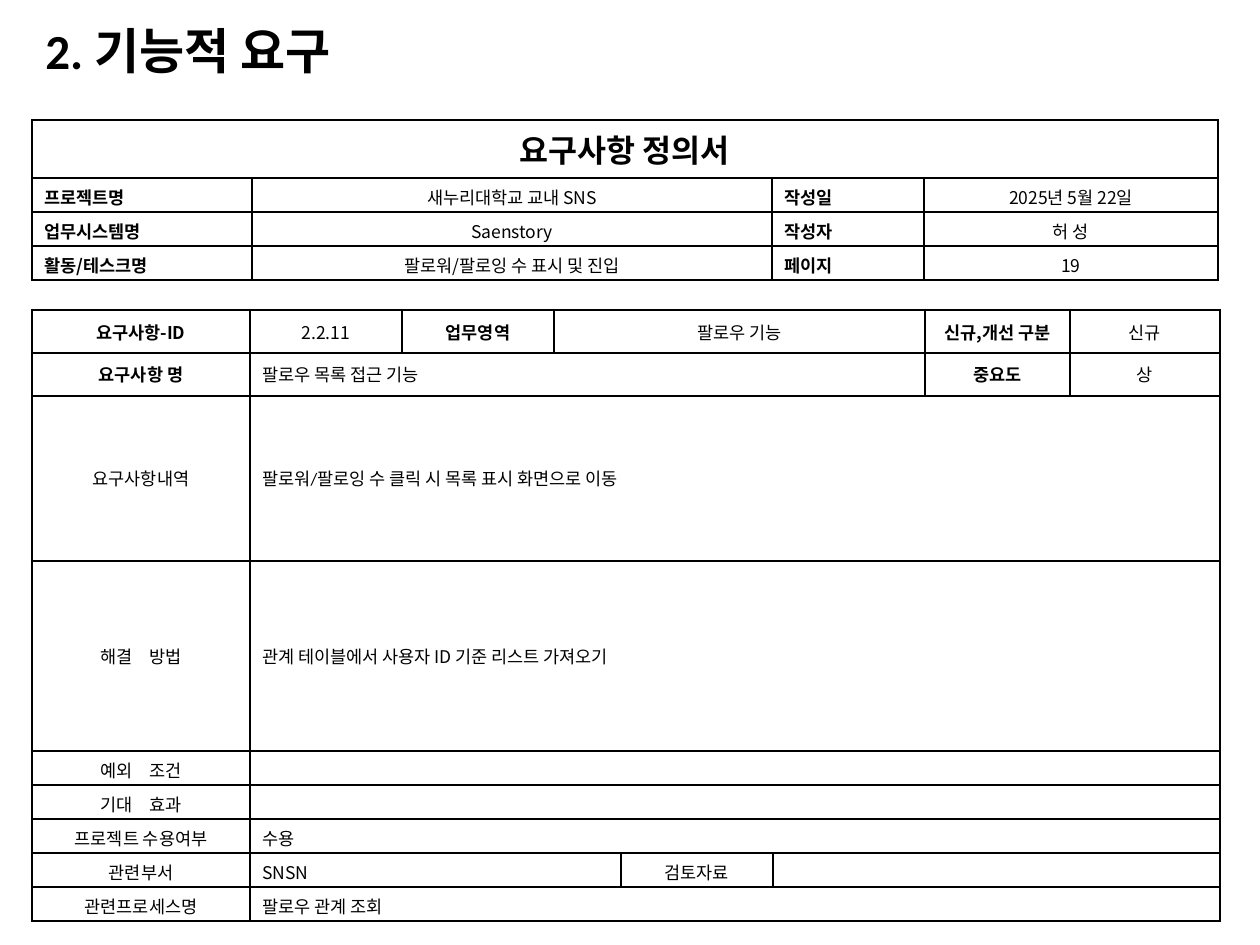
from dataclasses import dataclass

from lxml import etree
from pptx import Presentation, util as u
from pptx.dml.color import RGBColor
from pptx.enum import text
from pptx.oxml.ns import qn


@dataclass(frozen=True)
class Theme:
    ink: str = "000000"
    latin: str = "Calibri"
    korean: str = "Noto Sans CJK KR"
    title: int = 28
    heading: int = 18
    body: int = 10
    thin: float = 1
    thick: float = 1.5


THEME = Theme()
ALIGN = text.PP_ALIGN
MIDDLE = text.MSO_ANCHOR.MIDDLE
TOP = text.MSO_ANCHOR.TOP
SCALE = u.Inches(1) / 126

LABEL = {"bold": True, "align": ALIGN.JUSTIFY}
HEADER = {"bold": True, "align": ALIGN.CENTER}
VALUE = {"bold": False, "align": ALIGN.CENTER}
NOTE = {"bold": False, "align": ALIGN.LEFT}
HEADING = {**HEADER, "size": THEME.heading}
LATIN_NOTE = {**NOTE, "name": THEME.latin}

SUMMARY_COLUMNS = [220, 520, 152, 294]
SUMMARY_HEIGHTS = [58, 34, 34, 34]
SUMMARY_ROWS = [
    [("요구사항 정의서", 4, HEADING)],
    [("프로젝트명", 1, LABEL), ("새누리대학교 교내 SNS", 1, VALUE),
     ("작성일", 1, LABEL), ("2025년 5월 22일", 1, VALUE)],
    [("업무시스템명", 1, LABEL), ("Saenstory", 1, VALUE),
     ("작성자", 1, LABEL), ("허 성", 1, VALUE)],
    [("활동/테스크명", 1, LABEL), ("팔로워/팔로잉 수 표시 및 진입", 1, VALUE),
     ("페이지", 1, LABEL), ("19", 1, VALUE)],
]

DETAIL_COLUMNS = [218, 152, 152, 67, 152, 152, 145, 150]
DETAIL_HEIGHTS = [43, 43, 165, 190, 34, 34, 34, 34, 34]
DETAIL_ROWS = [
    [("요구사항-ID", 1, HEADER), ("2.2.11", 1, VALUE), ("업무영역", 1, HEADER),
     ("팔로우 기능", 3, VALUE), ("신규,개선 구분", 1, HEADER), ("신규", 1, VALUE)],
    [("요구사항 명", 1, HEADER), ("팔로우 목록 접근 기능", 5, NOTE),
     ("중요도", 1, HEADER), ("상", 1, VALUE)],
    [("요구사항내역", 1, VALUE),
     ("팔로워/팔로잉 수 클릭 시 목록 표시 화면으로 이동", 7, LATIN_NOTE)],
    [("해결　방법", 1, VALUE),
     ("관계 테이블에서 사용자 ID 기준 리스트 가져오기", 7, NOTE)],
    [("예외　조건", 1, VALUE), ("", 7, NOTE)],
    [("기대　효과", 1, VALUE), ("", 7, NOTE)],
    [("프로젝트 수용여부", 1, VALUE), ("수용", 7, NOTE)],
    [("관련부서", 1, VALUE), ("SNSN", 3, NOTE),
     ("검토자료", 1, VALUE), ("", 3, NOTE)],
    [("관련프로세스명", 1, VALUE), ("팔로우 관계 조회", 7, NOTE)],
]


def px(length):
    return u.Emu(round(length * SCALE))


def write(paragraph, content, look):
    paragraph.alignment = look["align"]
    size = look.get("size", THEME.body)
    if not content:
        end = etree.SubElement(paragraph._p, qn("a:endParaRPr"))
        end.set("sz", str(size * 100))
        return
    run = paragraph.add_run()
    run.text = content
    font = {
        "name": look.get("name", THEME.korean),
        "size": u.Pt(size),
        "bold": look["bold"],
    }
    for name, value in font.items():
        setattr(run.font, name, value)
    run.font.color.rgb = RGBColor.from_string(THEME.ink)
    latin = run._r.rPr.find(qn("a:latin"))
    east_asian = etree.Element(qn("a:ea"), typeface=THEME.korean)
    latin.addnext(east_asian)


def draw_borders(cell, widths):
    properties = cell._tc.get_or_add_tcPr()
    for index, (side, width) in enumerate(widths.items()):
        line = etree.Element(qn(f"a:ln{side}"), w=str(int(u.Pt(width))))
        fill = etree.SubElement(line, qn("a:solidFill"))
        etree.SubElement(fill, qn("a:srgbClr"), val=THEME.ink)
        properties.insert(index, line)


def add_title(slide, box, content):
    shape = slide.shapes.add_textbox(*map(px, box))
    frame = shape.text_frame
    for name, value in {"word_wrap": True, "vertical_anchor": MIDDLE}.items():
        setattr(frame, name, value)
    paragraph = frame.paragraphs[0]
    paragraph.line_spacing = 0.9
    write(paragraph, content,
          {**NOTE, "bold": True, "size": THEME.title, "name": THEME.latin})


def add_form(slide, origin, columns, heights, rows, thick_lines, anchors):
    size = sum(columns), sum(heights)
    table = slide.shapes.add_table(
        len(heights), len(columns), *map(px, (*origin, *size))).table
    for name in ("first_row", "horz_banding"):
        setattr(table, name, False)
    for column, width in zip(table.columns, columns):
        column.width = px(width)
    for row, height in zip(table.rows, heights):
        row.height = px(height)

    def weight(is_thick):
        return THEME.thick if is_thick else THEME.thin

    for row_index, (entries, anchor) in enumerate(zip(rows, anchors)):
        start = 0
        for content, span, look in entries:
            end = start + span
            cell = table.cell(row_index, start)
            if span > 1:
                cell.merge(table.cell(row_index, end - 1))
            cell.vertical_anchor = anchor
            write(cell.text_frame.paragraphs[0], content, look)
            widths = {
                "L": weight(start == 0),
                "R": weight(end == len(columns)),
                "T": weight(row_index in thick_lines),
                "B": weight(row_index + 1 in thick_lines),
            }
            for index in range(start, end):
                part = table.cell(row_index, index)
                part.fill.background()
                draw_borders(part, widths)
            start = end


def main():
    presentation = Presentation()
    presentation.slide_width = px(1260)
    presentation.slide_height = px(945)
    slide = presentation.slides.add_slide(presentation.slide_layouts[6])
    add_title(slide, (33, 26, 675, 55), "2. 기능적 요구")
    add_form(slide, (32, 310), DETAIL_COLUMNS, DETAIL_HEIGHTS, DETAIL_ROWS,
             {0, 1, 2, 9}, [MIDDLE] * 9)
    add_form(slide, (32, 120), SUMMARY_COLUMNS, SUMMARY_HEIGHTS, SUMMARY_ROWS,
             {0, 4}, [MIDDLE] + [TOP] * 3)
    presentation.save("out.pptx")


if __name__ == "__main__":
    main()
